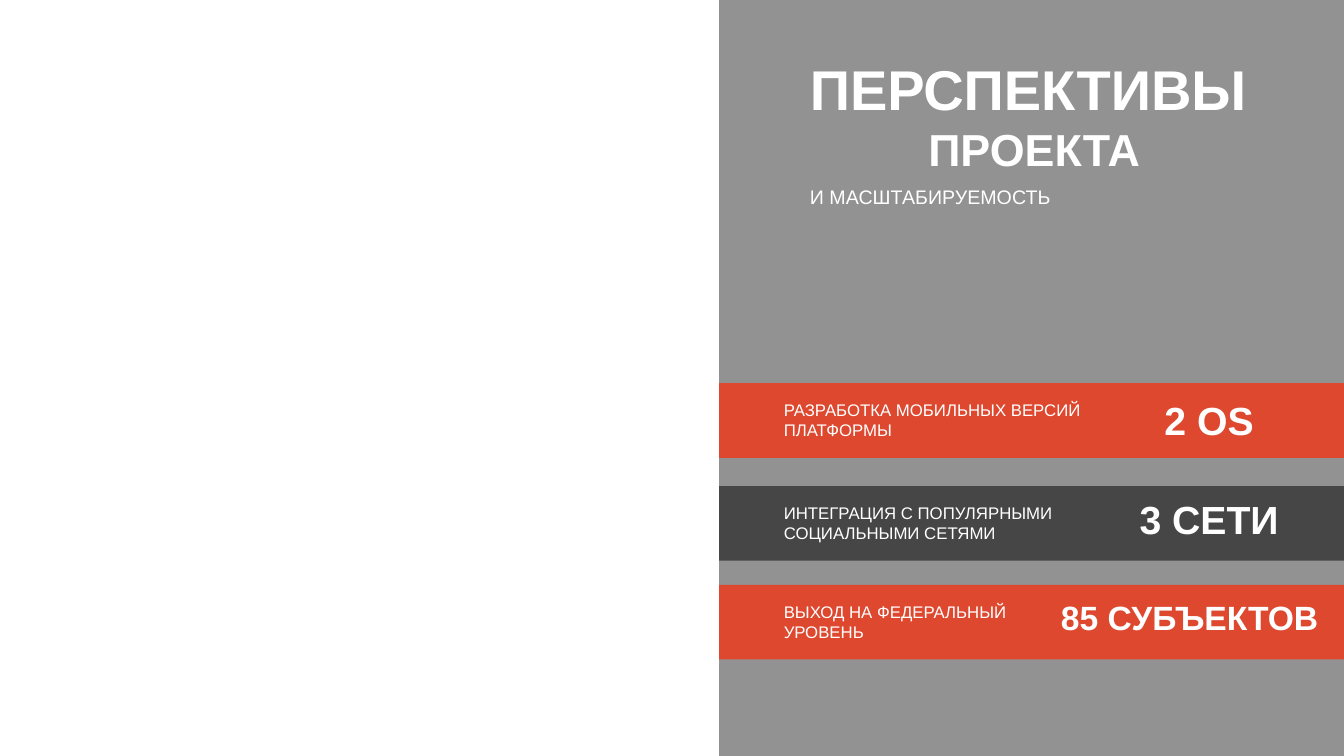
from dataclasses import dataclass

from lxml.etree import SubElement
from pptx import Presentation
from pptx.dml.color import RGBColor
from pptx.enum.shapes import MSO_SHAPE
from pptx.enum.text import MSO_ANCHOR, MSO_AUTO_SIZE, PP_ALIGN
from pptx.oxml.ns import qn
from pptx.slide import Slide
from pptx.util import Emu, Pt

EMU_PER_PX = 9525
SLIDE_WIDTH, SLIDE_HEIGHT = 1280, 720
PANEL_LEFT = 685
BAND_HEIGHT = 71
COLORS = {"dark": "262626", "red": "FD2906", "white": "FFFFFF"}


@dataclass(frozen=True)
class Box:
    left: int
    top: int
    width: int
    height: int

    def emu(self) -> tuple[Emu, ...]:
        sides = (self.left, self.top, self.width, self.height)
        return tuple(Emu(side * EMU_PER_PX) for side in sides)


@dataclass(frozen=True)
class TextLine:
    text: str
    box: Box
    size: int
    bold: bool = False
    align: PP_ALIGN = PP_ALIGN.LEFT
    anchor: MSO_ANCHOR = MSO_ANCHOR.MIDDLE


@dataclass(frozen=True)
class Band:
    top: int
    color: str
    label: str
    figure: str
    figure_box: Box
    figure_size: int


TITLES = [
    TextLine("ПЕРСПЕКТИВЫ", Box(762, 47, 446, 74), 40, True, PP_ALIGN.JUSTIFY),
    TextLine("ПРОЕКТА", Box(762, 111, 446, 61), 32, True, PP_ALIGN.CENTER),
    TextLine("И МАСШТАБИРУЕМОСТЬ", Box(762, 171, 446, 33), 14,
             align=PP_ALIGN.JUSTIFY, anchor=MSO_ANCHOR.TOP),
]

BANDS = [
    Band(365, "red", "РАЗРАБОТКА МОБИЛЬНЫХ ВЕРСИЙ ПЛАТФОРМЫ",
         "2 OS", Box(1059, 373, 185, 55), 28),
    Band(463, "dark", "ИНТЕГРАЦИЯ С ПОПУЛЯРНЫМИ СОЦИАЛЬНЫМИ СЕТЯМИ",
         "3 СЕТИ", Box(1059, 467, 185, 55), 28),
    Band(557, "red", "ВЫХОД НА ФЕДЕРАЛЬНЫЙ УРОВЕНЬ",
         "85 СУБЪЕКТОВ", Box(996, 564, 274, 48), 24),
]


def add_rectangle(slide: Slide, box: Box, color: str, opacity: int) -> None:
    """Draw a borderless rectangle; opacity is in percent."""
    shape = slide.shapes.add_shape(MSO_SHAPE.RECTANGLE, *box.emu())
    shape.shadow.inherit = False
    shape.line.fill.background()
    shape.fill.solid()
    shape.fill.fore_color.rgb = RGBColor.from_string(COLORS[color])
    color_element = shape.fill._xPr.find(qn("a:solidFill"))[0]
    SubElement(color_element, qn("a:alpha"), val=str(opacity * 1000))


def add_text(slide: Slide, line: TextLine) -> None:
    text_frame = slide.shapes.add_textbox(*line.box.emu()).text_frame
    text_frame.word_wrap = True
    text_frame.auto_size = MSO_AUTO_SIZE.SHAPE_TO_FIT_TEXT
    text_frame.vertical_anchor = line.anchor
    paragraph = text_frame.paragraphs[0]
    paragraph.text = line.text
    paragraph.alignment = line.align
    paragraph.font.name = "Arial"
    paragraph.font.size = Pt(line.size)
    paragraph.font.bold = line.bold
    paragraph.font.color.rgb = RGBColor.from_string(COLORS["white"])


def add_band(slide: Slide, band: Band) -> None:
    band_box = Box(PANEL_LEFT, band.top, SLIDE_WIDTH - PANEL_LEFT, BAND_HEIGHT)
    add_rectangle(slide, band_box, band.color, 70)
    add_text(slide, TextLine(band.figure, band.figure_box, band.figure_size,
                             True, PP_ALIGN.CENTER, MSO_ANCHOR.TOP))
    add_text(slide, TextLine(band.label, Box(737, band.top + 11, 308, 48), 12))


def main() -> None:
    presentation = Presentation()
    presentation.slide_width = Emu(SLIDE_WIDTH * EMU_PER_PX)
    presentation.slide_height = Emu(SLIDE_HEIGHT * EMU_PER_PX)
    slide = presentation.slides.add_slide(presentation.slide_layouts[6])

    # Right panel
    panel = Box(PANEL_LEFT, 0, SLIDE_WIDTH - PANEL_LEFT, SLIDE_HEIGHT)
    add_rectangle(slide, panel, "dark", 50)

    # Bands with a label and a key figure
    for band in BANDS:
        add_band(slide, band)

    # Heading
    for title in TITLES:
        add_text(slide, title)

    presentation.save("out.pptx")


if __name__ == "__main__":
    main()
